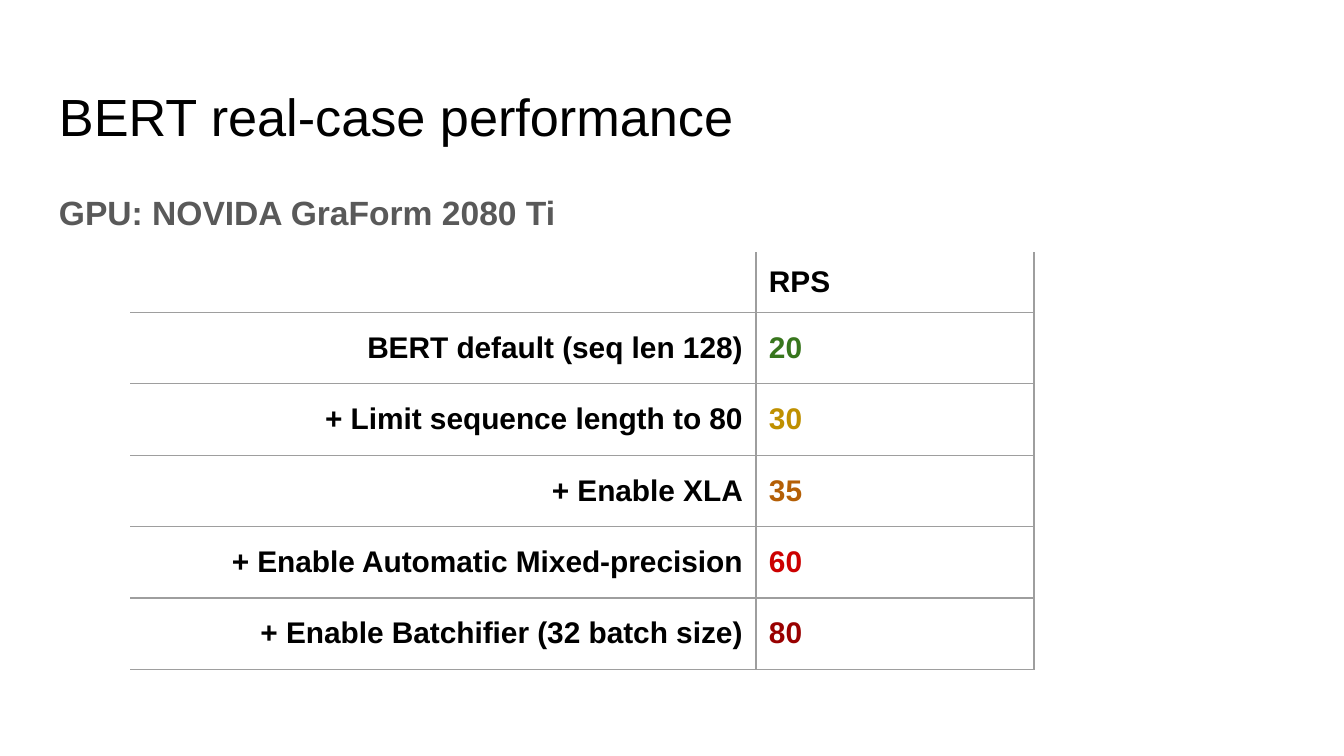
from lxml.etree import SubElement
from pptx import Presentation
from pptx.dml.color import RGBColor
from pptx.enum.text import MSO_ANCHOR as ANCHOR, MSO_AUTO_SIZE as AUTO_SIZE, PP_ALIGN as ALIGN
from pptx.oxml.ns import qn
from pptx.util import Emu, Pt

TITLE = "BERT real-case performance"
SUBTITLE = "GPU: NOVIDA GraForm 2080 Ti"
ROWS = [  # label, requests per second, value colour
    ("", "RPS", "000000"),
    ("BERT default (seq len 128)", "20", "38761D"),
    ("+ Limit sequence length to 80", "30", "BF9000"),
    ("+ Enable XLA", "35", "B45F06"),
    ("+ Enable Automatic Mixed-precision", "60", "CC0000"),
    ("+ Enable Batchifier (32 batch size)", "80", "990000"),
]
COL_WIDTHS = (626, 278)
HEADER_H, BODY_H = 59, 357
GRID = "9E9E9E"
FONT = "Arial"


def px(n):
    return Emu(round(n * 9144000 / 1344))


def rgb(color):
    return RGBColor.from_string(color)


def style_paragraph(p, size, color, bold=False, align=ALIGN.LEFT):
    p.alignment = align
    for r in p.runs:
        r.font.name, r.font.size, r.font.bold = FONT, Pt(size), bold
        r.font.color.rgb = rgb(color)


def set_frame(tf, top_inset):
    tf.word_wrap = True
    tf.auto_size = AUTO_SIZE.NONE
    tf.vertical_anchor = ANCHOR.TOP
    tf.margin_left = tf.margin_right = tf.margin_bottom = px(13)
    tf.margin_top = px(top_inset)


def set_borders(cell, hidden):
    tc_pr = cell._tc.get_or_add_tcPr()
    for side in "LRTB":
        ln = SubElement(tc_pr, qn(f"a:ln{side}"), w=str(Pt(0.75)))
        if side in hidden:
            SubElement(ln, qn("a:noFill"))
        else:
            fill = SubElement(ln, qn("a:solidFill"))
            SubElement(fill, qn("a:srgbClr"), val=GRID)


prs = Presentation()
prs.slide_width, prs.slide_height = px(1344), px(756)
slide = prs.slides.add_slide(prs.slide_layouts[5])

# Title
title = slide.shapes.title
title.left, title.top, title.width, title.height = map(px, (46, 66, 1253, 84))
title.text_frame.text = TITLE
set_frame(title.text_frame, 18)
style_paragraph(title.text_frame.paragraphs[0], 28, "000000")

# Subtitle
sp = slide.shapes.add_textbox(*map(px, (46, 169, 1253, 503)))
sp.text_frame.text = SUBTITLE
set_frame(sp.text_frame, 17)
p = sp.text_frame.paragraphs[0]
p.line_spacing, p.space_after = 1.15, Pt(16)
style_paragraph(p, 18, "595959", bold=True)

# Performance table
table = slide.shapes.add_table(len(ROWS), len(COL_WIDTHS), px(130), px(252),
                               px(sum(COL_WIDTHS)), px(HEADER_H + BODY_H)).table
table.first_row = table.horz_banding = False
for column, width in zip(table.columns, COL_WIDTHS):
    column.width = px(width)
for i, (label, value, color) in enumerate(ROWS):
    table.rows[i].height = px(BODY_H / (len(ROWS) - 1) if i else HEADER_H)
    for j, text in enumerate((label, value)):
        cell = table.cell(i, j)
        set_borders(cell, ("" if j else "L") + ("" if i else "T"))
        cell.fill.background()
        cell.vertical_anchor = ANCHOR.MIDDLE
        cell.margin_left = cell.margin_right = px(13)
        cell.margin_top = cell.margin_bottom = px(12)
        p = cell.text_frame.paragraphs[0]
        if text:
            p.text = text
            style_paragraph(p, 16, color if j else "000000", True,
                            ALIGN.LEFT if j else ALIGN.RIGHT)
        else:  # keeps the empty cell as low as its row
            SubElement(p._p, qn("a:endParaRPr"), sz="1600")

prs.save("out.pptx")
